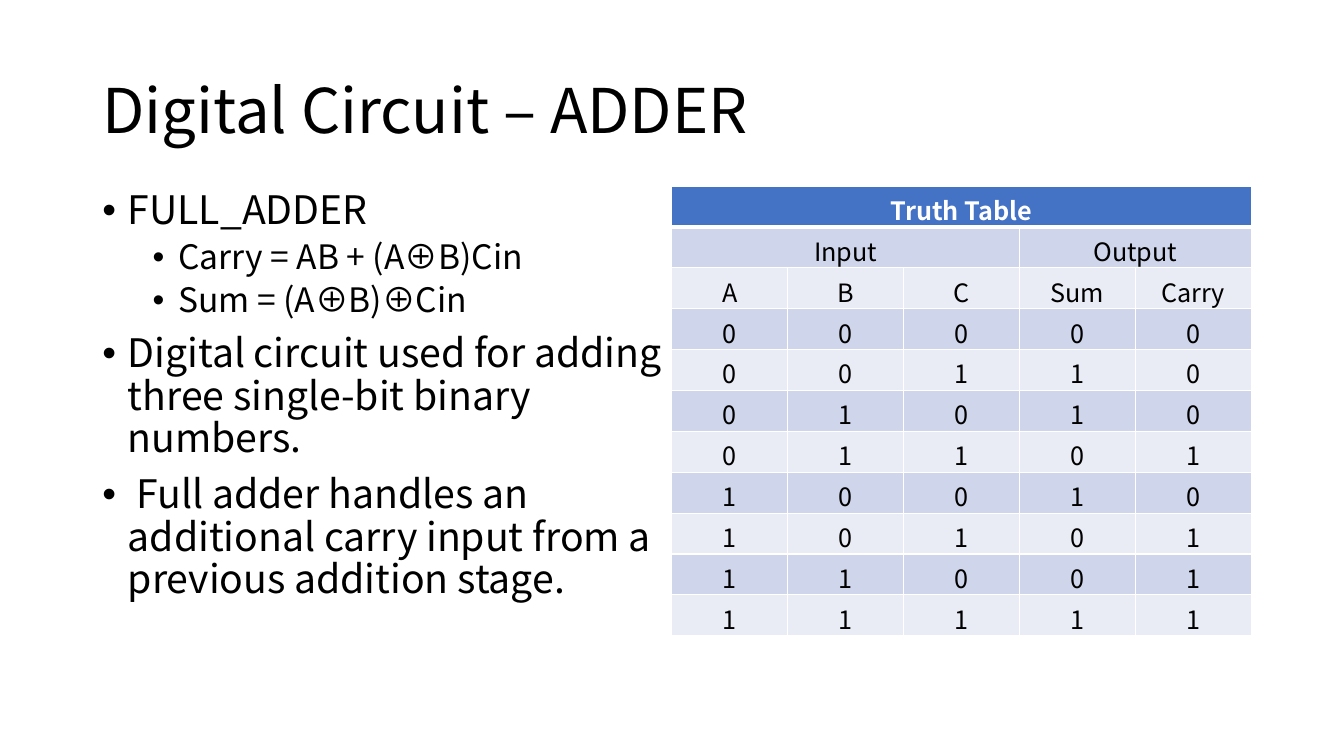
from dataclasses import dataclass
from itertools import product

from lxml.etree import SubElement
from pptx import Presentation
from pptx.dml.color import RGBColor
from pptx.enum.text import MSO_ANCHOR, PP_ALIGN
from pptx.oxml import parse_xml
from pptx.oxml.ns import nsdecls, qn
from pptx.util import Cm, Pt


@dataclass(frozen=True)
class Theme:
    font: str = "Noto Sans CJK KR"
    text: str = "000000"
    white: str = "FFFFFF"
    header: str = "4472C4"
    bands: tuple = ("E9EBF5", "CFD5EA")
    title_size: int = 44
    body_sizes: tuple = (28, 24)
    table_size: int = 18


theme = Theme()


def add_run(paragraph, text, size, color=theme.text, bold=False):
    run = paragraph.add_run()
    run.text = text
    run.font.name = theme.font
    run.font.size = Pt(size)
    run.font.bold = bold
    run.font.color.rgb = RGBColor.from_string(color)


def add_border(cell, position, side, width):
    """Draw one white cell edge; position keeps the edges ahead of the fill."""
    cell._tc.get_or_add_tcPr().insert(position, parse_xml(
        f'<a:ln{side} {nsdecls("a")} w="{Pt(width)}"><a:solidFill>'
        f'<a:srgbClr val="{theme.white}"/></a:solidFill></a:ln{side}>'))


presentation = Presentation()
presentation.slide_width = Cm(33.87)
presentation.slide_height = Cm(19.05)
slide = presentation.slides.add_slide(presentation.slide_layouts[6])

# Title
title = slide.shapes.add_textbox(Cm(2.33), Cm(1.01), Cm(29.21), Cm(3.68)).text_frame
title.word_wrap = True
title.vertical_anchor = MSO_ANCHOR.MIDDLE
title.paragraphs[0].line_spacing = 0.9
add_run(title.paragraphs[0], "Digital Circuit – ADDER", theme.title_size)

# Explanation
points = [
    (0, "FULL_ADDER"),
    (1, "Carry = AB + (A⊕B)Cin"),
    (1, "Sum = (A⊕B)⊕Cin"),
    (0, "Digital circuit used for adding three single-bit binary numbers."),
    (0, " Full adder handles an additional carry input from a previous addition stage."),
]
explanation = slide.shapes.add_textbox(Cm(2.33), Cm(4.69), Cm(14.6), Cm(13.34)).text_frame
explanation.word_wrap = True
for index, (level, point) in enumerate(points):
    paragraph = explanation.add_paragraph() if index else explanation.paragraphs[0]
    paragraph.level = level
    properties = paragraph._p.get_or_add_pPr()
    properties.set("marL", str(Cm(0.64 + 1.27 * level)))
    properties.set("indent", str(-Cm(0.64)))
    SubElement(properties, qn("a:buFont")).set("typeface", "Arial")
    SubElement(properties, qn("a:buChar")).set("char", "•")
    paragraph.line_spacing = 0.9
    if index:
        paragraph.space_before = Pt((10, 5)[level])
    add_run(paragraph, point, theme.body_sizes[level])

# Truth table of the full adder
rows = [
    ("Truth Table", "", "", "", ""),
    ("Input", "", "", "Output", ""),
    ("A", "B", "C", "Sum", "Carry"),
]
for a, b, c in product((0, 1), repeat=3):
    rows.append((a, b, c, (a + b + c) % 2, (a + b + c) // 2))

truth_table = slide.shapes.add_table(
    len(rows), 5, Cm(16.93), Cm(4.69), Cm(14.6), Cm(1.03 * len(rows))).table
truth_table.first_row = False
truth_table.horz_banding = False
for column in truth_table.columns:
    column.width = Cm(2.92)
for row in truth_table.rows:
    row.height = Cm(1.03)
for row, first, last in [(0, 0, 4), (1, 0, 2), (1, 3, 4)]:
    truth_table.cell(row, first).merge(truth_table.cell(row, last))

for row, values in enumerate(rows):
    is_header = row == 0
    for column, value in enumerate(values):
        cell = truth_table.cell(row, column)
        cell.fill.solid()
        cell.fill.fore_color.rgb = RGBColor.from_string(
            theme.header if is_header else theme.bands[row % 2])
        for position, side in enumerate("LRTB"):
            under_header = (row, side) in [(0, "B"), (1, "T")]
            add_border(cell, position, side, 3 if under_header else 1)
        if value != "":
            paragraph = cell.text_frame.paragraphs[0]
            paragraph.alignment = PP_ALIGN.CENTER
            add_run(paragraph, str(value), theme.table_size,
                    theme.white if is_header else theme.text, is_header)

# Even rows carry the darker band, so the row below the header starts light-on-dark
for row in range(1, len(rows)):
    for column in range(5):
        truth_table.cell(row, column).fill.fore_color.rgb = RGBColor.from_string(
            theme.bands[row % 2])

presentation.save("out.pptx")
